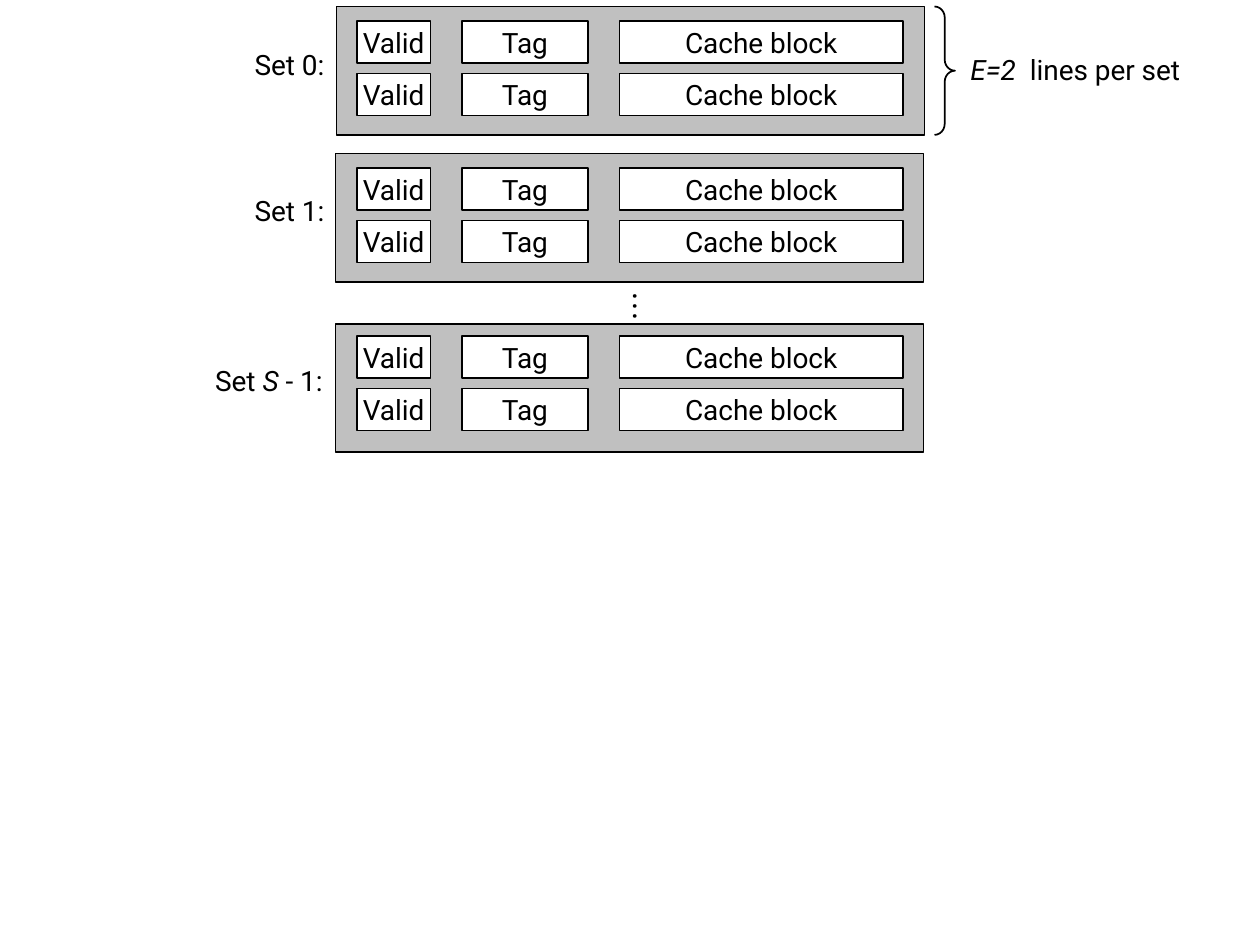
"""Build the slide showing a two-way set associative cache."""
from dataclasses import dataclass

from pptx import Presentation
from pptx.dml.color import RGBColor
from pptx.enum.shapes import MSO_SHAPE
from pptx.enum.text import MSO_ANCHOR, MSO_AUTO_SIZE, PP_ALIGN
from pptx.oxml.ns import qn
from pptx.shapes.autoshape import Shape
from pptx.slide import Slide
from pptx.util import Pt

RECT = MSO_SHAPE.RECTANGLE
BRACE = MSO_SHAPE.RIGHT_BRACE
MIDDLE = MSO_ANCHOR.MIDDLE
CENTER = PP_ALIGN.CENTER
FIT = MSO_AUTO_SIZE.SHAPE_TO_FIT_TEXT
FIXED = MSO_AUTO_SIZE.NONE


@dataclass(frozen=True)
class Theme:
    font: str = "Roboto"
    size: float = 16
    dot_size: float = 10
    line_width: float = 1
    ink: RGBColor = RGBColor(0, 0, 0)
    paper: RGBColor = RGBColor(255, 255, 255)
    panel: RGBColor = RGBColor(192, 192, 192)


@dataclass(frozen=True)
class Box:
    left: float
    top: float
    width: float
    height: float

    def emu(self) -> tuple:
        return Pt(self.left), Pt(self.top), Pt(self.width), Pt(self.height)


@dataclass(frozen=True)
class Field:
    name: str
    left: float
    width: float


@dataclass(frozen=True)
class CacheSet:
    panel: Box
    first_line: float
    label: str
    label_box: Box


THEME = Theme()
FIELDS = [Field("Valid", 204, 42), Field("Tag", 264, 72), Field("Cache block", 354, 162)]
LINES_PER_SET = 2
LINE_STEP = 30
LINE_HEIGHT = 24
SETS = [
    CacheSet(Box(192.3, 3.7, 336, 73.4), 12, "Set 0:", Box(137.5, 23.3, 56, 26.6)),
    CacheSet(Box(191.7, 87.8, 336, 73.4), 96, "Set 1:", Box(137.5, 106.9, 56, 26.6)),
    CacheSet(Box(191.7, 185, 336, 73.4), 192, "Set *S *- 1:", Box(113, 204, 81.4, 26.6)),
]


def write(sp: Shape, text: str, *, size: float = THEME.size, fit: bool = False) -> None:
    """Write centred text, with the parts between asterisks in italics."""
    tf = sp.text_frame
    tf.word_wrap = False
    tf.auto_size = FIT if fit else FIXED
    tf.vertical_anchor = MIDDLE
    p = tf.paragraphs[0]
    p.alignment = CENTER
    for i, part in enumerate(text.split("*")):
        if part:
            r = p.add_run()
            r.text = part
            r.font.name = THEME.font
            r.font.size = Pt(size)
            r.font.italic = i % 2 == 1
            r.font.color.rgb = THEME.ink


def add_label(s: Slide, box: Box, text: str, **style) -> Shape:
    """Add a text box with formatted text."""
    sp = s.shapes.add_textbox(*box.emu())
    write(sp, text, **style)
    return sp


def add_outline(s: Slide, kind: MSO_SHAPE, box: Box, fill: RGBColor | None = None) -> Shape:
    """Add an outlined shape, filled when a colour is given."""
    sp = s.shapes.add_shape(kind, *box.emu())
    sp.shadow.inherit = False
    if fill is None:
        sp.fill.background()
    else:
        sp.fill.solid()
        sp.fill.fore_color.rgb = fill
    sp.line.color.rgb = THEME.ink
    sp.line.width = Pt(THEME.line_width)
    return sp


def add_set(s: Slide, cache_set: CacheSet) -> None:
    """Draw one cache set with its label and lines."""
    add_outline(s, RECT, cache_set.panel, THEME.panel)
    add_label(s, cache_set.label_box, cache_set.label, fit=True)
    for line in range(LINES_PER_SET):
        top = cache_set.first_line + line * LINE_STEP
        for field in FIELDS:
            cell = Box(field.left, top, field.width, LINE_HEIGHT)
            write(add_outline(s, RECT, cell, THEME.paper), field.name)


def main() -> None:
    """Build and save the slide."""
    prs = Presentation()
    prs.slide_width, prs.slide_height = Pt(720), Pt(540)
    s = prs.slides.add_slide(prs.slide_layouts[6])
    for cache_set in SETS:
        add_set(s, cache_set)
    brace = add_outline(s, BRACE, Box(534, 3.7, 11.7, 73.4))
    brace.adjustments[0] = 0.54
    brace.adjustments[1] = 0.5
    add_label(s, Box(545, 26.6, 139, 26.6), "*E=2*  lines per set", fit=True)
    dots = add_label(s, Box(336, 160.5, 54, 24), "• • •", size=THEME.dot_size)
    dots.text_frame._txBody.find(qn("a:bodyPr")).set("vert", "eaVert")
    prs.save("out.pptx")


if __name__ == "__main__":
    main()
